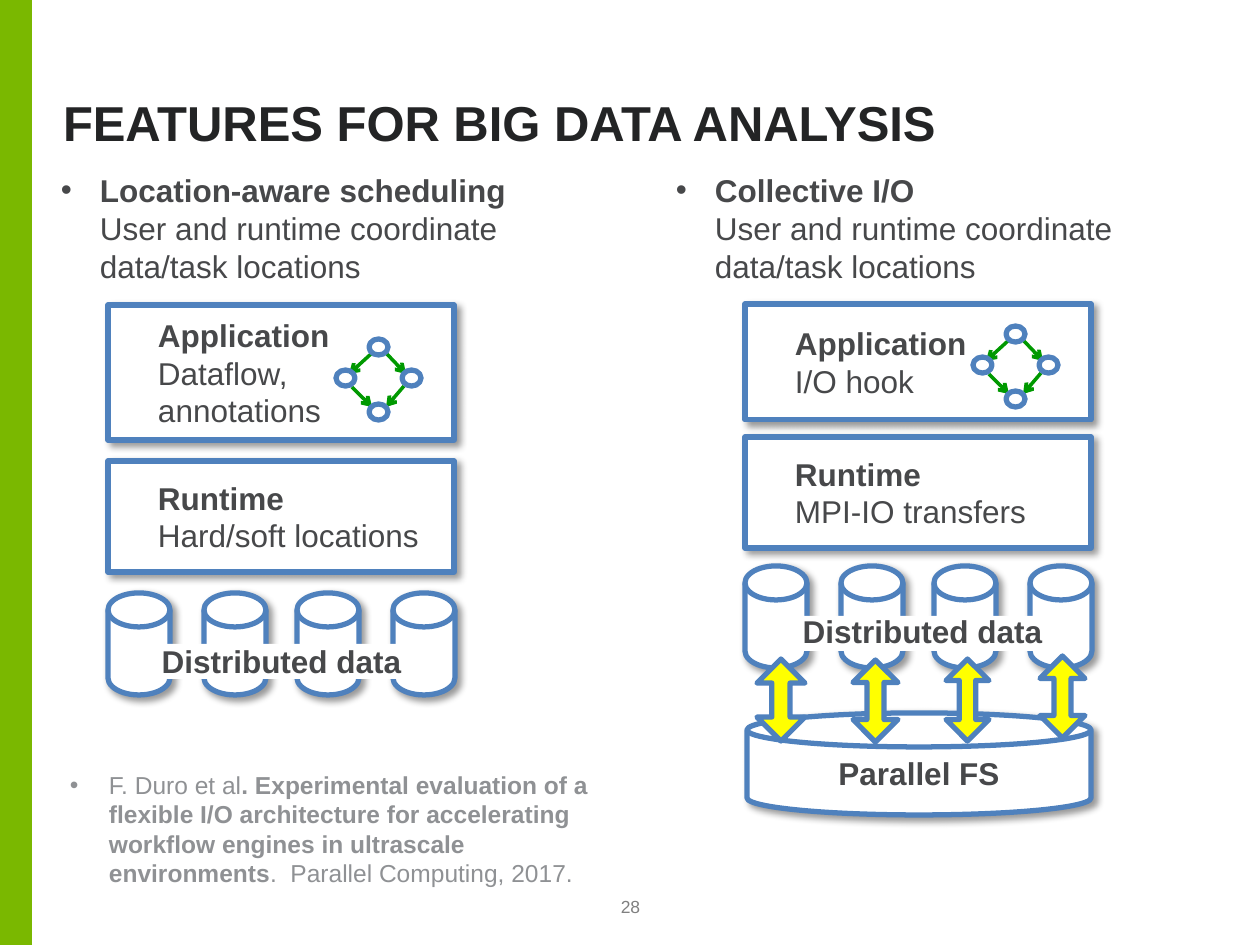
from lxml import etree
from pptx import Presentation
from pptx.dml.color import RGBColor
from pptx.enum.shapes import MSO_CONNECTOR, MSO_SHAPE
from pptx.enum.text import MSO_ANCHOR, PP_ALIGN
from pptx.oxml.ns import qn
from pptx.util import Emu, Pt

RECT, DISK = MSO_SHAPE.RECTANGLE, MSO_SHAPE.FLOWCHART_MAGNETIC_DISK
OVAL, UP_DOWN = MSO_SHAPE.OVAL, MSO_SHAPE.UP_DOWN_ARROW
STRAIGHT = MSO_CONNECTOR.STRAIGHT
TOP, MIDDLE, BOTTOM = MSO_ANCHOR.TOP, MSO_ANCHOR.MIDDLE, MSO_ANCHOR.BOTTOM
LEFT, CENTER = PP_ALIGN.LEFT, PP_ALIGN.CENTER

WHITE, GREEN, YELLOW = "FFFFFF", "7AB800", "FFFF00"
BLUE, ARROW_GREEN = "4F81BD", "009900"
TITLE, TEXT, CITATION, NUMBER = "232425", "47484A", "8F9194", "808080"

INSETS = (13, 6, 13, 6)
BLOCK_INSETS = (50, 6, 13, 6)
HANG = 39
BLOCK_WIDTH = 346
DISK_SIZE = (62, 102)
DISK_STEPS = (0, 96, 189, 285)
NODE_SIZE = (19, 16)
NODES = ((33, 0), (0, 31), (66, 31), (33, 65))
EDGES = (
    (36, 14, 13, 35),
    (50, 14, 70, 35),
    (68, 47, 50, 68),
    (16, 48, 36, 68),
)


def px(length):
    return Emu(round(length * 914400 / 126))


def color(value):
    return RGBColor.from_string(value)


class Page:
    font = "Arial"
    line_width = Pt(3)

    def __init__(self, deck):
        self.shapes = deck.slides.add_slide(deck.slide_layouts[6]).shapes

    def shape(self, kind, x, y, width, height, fill=None, line=None, shadow=False):
        item = self.shapes.add_shape(kind, px(x), px(y), px(width), px(height))
        item.shadow.inherit = False
        if fill:
            item.fill.solid()
            item.fill.fore_color.rgb = color(fill)
        else:
            item.fill.background()
        if line:
            item.line.color.rgb = color(line)
            item.line.width = self.line_width
        else:
            item.line.fill.background()
        if shadow:
            self.cast_shadow(item)
        return item

    def cast_shadow(self, item):
        effects = item._element.spPr.find(qn("a:effectLst"))
        outer = etree.SubElement(
            effects, qn("a:outerShdw"), blurRad=str(Pt(4)), dist=str(Pt(3)),
            dir=str(45 * 60000), algn="tl", rotWithShape="0")
        tint = etree.SubElement(outer, qn("a:srgbClr"), val="000000")
        etree.SubElement(tint, qn("a:alpha"), val="40000")

    def set_text(self, box, spans, size=18, ink=TEXT, align=LEFT, anchor=TOP,
                 insets=INSETS, bullet=False, spacing=None):
        frame = box.text_frame
        frame.word_wrap = True
        frame.vertical_anchor = anchor
        (frame.margin_left, frame.margin_top,
         frame.margin_right, frame.margin_bottom) = map(px, insets)
        para = frame.paragraphs[0]
        para.alignment = align
        if spacing:
            para.line_spacing = spacing
        if bullet:
            properties = para._p.get_or_add_pPr()
            properties.set("marL", str(px(HANG)))
            properties.set("indent", str(-px(HANG)))
            etree.SubElement(properties, qn("a:buFont"), typeface=self.font)
            etree.SubElement(properties, qn("a:buChar"), char="•")
        for words, bold in spans:
            for index, row in enumerate(words.split("\n")):
                if index:
                    para.add_line_break()
                if row:
                    span = para.add_run()
                    span.text = row
                    span.font.name = self.font
                    span.font.size = Pt(size)
                    span.font.bold = bold
                    span.font.color.rgb = color(ink)

    def text(self, x, y, width, height, spans, **style):
        box = self.shapes.add_textbox(px(x), px(y), px(width), px(height))
        self.set_text(box, spans, **style)

    def block(self, x, y, height, name, detail):
        box = self.shape(RECT, x, y, BLOCK_WIDTH, height, WHITE, BLUE, shadow=True)
        self.set_text(box, [(name + "\n", True), (detail, False)],
                      anchor=MIDDLE, insets=BLOCK_INSETS)

    def arrow(self, x1, y1, x2, y2):
        edge = self.shapes.add_connector(STRAIGHT, px(x1), px(y1), px(x2), px(y2))
        edge.line.color.rgb = color(ARROW_GREEN)
        edge.line.width = Pt(2)
        properties = edge._element.spPr
        etree.SubElement(properties.find(qn("a:ln")), qn("a:tailEnd"), type="arrow")
        etree.SubElement(properties, qn("a:effectLst"))

    def task_graph(self, x, y):
        for x1, y1, x2, y2 in EDGES:
            self.arrow(x + x1, y + y1, x + x2, y + y2)
        for dx, dy in NODES:
            self.shape(OVAL, x + dx, y + dy, *NODE_SIZE, line=BLUE)

    def data_disks(self, x, y, patch, label):
        for step in DISK_STEPS:
            self.shape(DISK, x + step, y, *DISK_SIZE, WHITE, BLUE, shadow=True)
        self.shape(RECT, *patch, WHITE)
        self.text(*label, [("Distributed data", True)], align=CENTER)

    def topic(self, x, name):
        self.text(x, 165, 567, 127,
                  [(name + "\n", True),
                   ("User and runtime coordinate data/task locations", False)],
                  bullet=True)


def main():
    deck = Presentation()
    deck.slide_width, deck.slide_height = px(1260), px(945)
    page = Page(deck)

    page.shape(RECT, 0, 0, 32, 945, GREEN)
    page.text(63, 38, 1154, 115, [("FEATURES FOR BIG DATA ANALYSIS", True)],
              size=28, ink=TITLE, anchor=BOTTOM, insets=(0, 0, 0, 0), spacing=0.95)
    page.text(599, 892, 63, 25, [("28", False)], size=10, ink=NUMBER,
              align=CENTER, anchor=BOTTOM, insets=(0, 6, 0, 0))

    page.topic(48, "Location-aware scheduling")
    page.block(108, 305, 135, "Application", "Dataflow,\nannotations")
    page.task_graph(336, 339)
    page.block(108, 461, 111, "Runtime", "Hard/soft locations")
    page.data_disks(108, 593, (156, 644, 256, 35), (116, 636, 331, 50))

    page.topic(663, "Collective I/O")
    page.block(745, 304, 116, "Application", "I/O hook")
    page.task_graph(973, 326)
    page.block(745, 437, 111, "Runtime", "MPI-IO transfers")
    page.data_disks(745, 566, (792, 616, 267, 35), (757, 606, 331, 50))

    storage = page.shape(DISK, 747, 713, 344, 102, WHITE, BLUE, shadow=True)
    page.set_text(storage, [("Parallel FS", True)], align=CENTER, anchor=MIDDLE)
    for x, y, width in ((757, 659, 48), (853, 660, 45), (946, 659, 43), (1040, 656, 45)):
        transfer = page.shape(UP_DOWN, x, y, width, 82, YELLOW, BLUE)
        transfer.adjustments[0] = 0.34
        transfer.adjustments[1] = 0.38

    page.text(57, 764, 577, 131, [
        ("F. Duro et al", False),
        (". Experimental evaluation of a flexible I/O architecture for accelerating "
         "workflow engines in ultrascale environments", True),
        (".  Parallel Computing, 2017.", False),
    ], size=14, ink=CITATION, bullet=True)

    deck.save("out.pptx")


if __name__ == "__main__":
    main()
